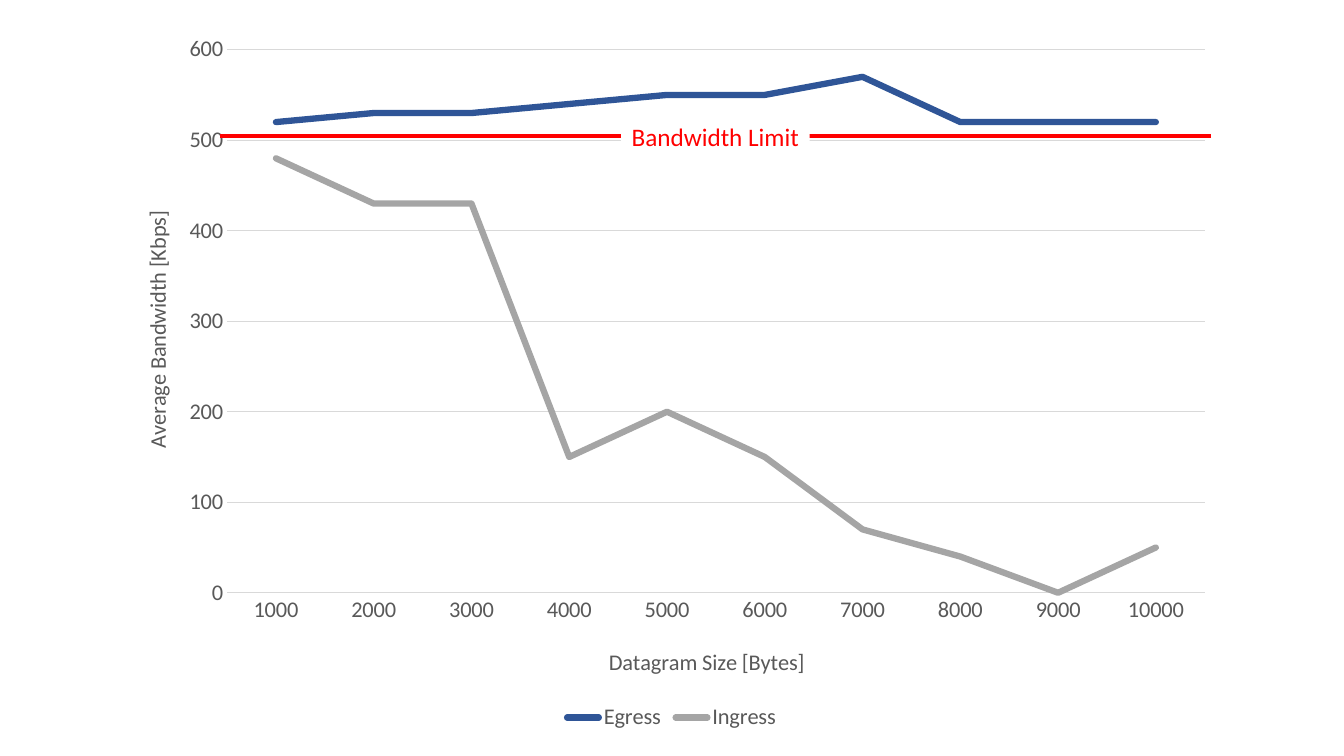
from dataclasses import dataclass

from lxml.etree import SubElement
from pptx import Presentation
from pptx.chart.data import CategoryChartData
from pptx.dml.color import RGBColor
from pptx.enum.chart import XL_CHART_TYPE as ChartType
from pptx.enum.chart import XL_LEGEND_POSITION as LegendPosition
from pptx.enum.chart import XL_MARKER_STYLE as MarkerStyle
from pptx.enum.chart import XL_TICK_MARK as TickMark
from pptx.enum.shapes import MSO_CONNECTOR as Connector
from pptx.enum.shapes import MSO_SHAPE as Shape
from pptx.enum.text import MSO_ANCHOR as Anchor
from pptx.enum.text import PP_ALIGN as Align
from pptx.oxml import parse_xml
from pptx.oxml.ns import nsdecls, qn
from pptx.util import Inches, Pt


@dataclass(frozen=True)
class Theme:
    font: str = "Calibri"
    text: str = "595959"
    grid: str = "D9D9D9"
    egress: str = "2F5597"
    ingress: str = "A5A5A5"
    limit: str = "FF0000"
    background: str = "FFFFFF"
    chart_size: float = 16
    limit_size: float = 18
    grid_width: float = 0.75
    series_width: float = 4.5
    limit_width: float = 3


THEME = Theme()
SIZES = [str(size) for size in range(1000, 10001, 1000)]
BANDWIDTH = {
    "Egress": (THEME.egress, (520, 530, 530, 540, 550, 550, 570, 520, 520, 520)),
    "Ingress": (THEME.ingress, (480, 430, 430, 150, 200, 150, 70, 40, 0, 50)),
}


def apply(target, values):
    for name, value in values.items():
        setattr(target, name, value)


def style_font(font, size, color):
    apply(font, {"name": THEME.font, "size": Pt(size), "bold": False})
    font.color.rgb = RGBColor.from_string(color)


def style_line(line, color, width):
    line.color.rgb = RGBColor.from_string(color)
    line.width = Pt(width)


def place(part, index, inner=False, **fractions):
    for previous in part.findall(qn("c:layout")):
        part.remove(previous)
    target = '<c:layoutTarget val="inner"/>' if inner else ""
    modes = "".join(f'<c:{key}Mode val="edge"/>' for key in "xy")
    values = "".join(f'<c:{key} val="{value}"/>' for key, value in fractions.items())
    part.insert(index, parse_xml(
        f'<c:layout {nsdecls("c")}><c:manualLayout>{target}{modes}{values}'
        "</c:manualLayout></c:layout>"))


def style_axis(axis, title, x, y):
    apply(axis, {"major_tick_mark": TickMark.NONE, "minor_tick_mark": TickMark.NONE})
    style_font(axis.tick_labels.font, THEME.chart_size, THEME.text)
    heading = axis.axis_title.text_frame.paragraphs[0].add_run()
    heading.text = title
    style_font(heading.font, THEME.chart_size, THEME.text)
    place(axis.axis_title.element, 1, x=x, y=y)


def add_bandwidth_chart(shapes):
    data = CategoryChartData()
    data.categories = SIZES
    for name, (_, rates) in BANDWIDTH.items():
        data.add_series(name, rates)
    chart = shapes.add_chart(ChartType.LINE, Inches(1.15), Inches(0.21),
                             Inches(11.02), Inches(7.09), data).chart
    apply(chart, {"has_title": False, "has_legend": True})
    style_font(chart.font, THEME.chart_size, THEME.text)
    apply(chart.legend, {"position": LegendPosition.BOTTOM, "include_in_layout": False})
    style_font(chart.legend.font, THEME.chart_size, THEME.text)

    plot = chart.plots[0]
    plot.vary_by_categories = False
    for series, (color, _) in zip(plot.series, BANDWIDTH.values()):
        series.smooth = False
        series.marker.style = MarkerStyle.NONE
        style_line(series.format.line, color, THEME.series_width)
    for series in chart.element.iter(qn("c:ser")):
        series.find(qn("c:spPr")).find(qn("a:ln")).set("cap", "rnd")

    sizes, rates = chart.category_axis, chart.value_axis
    style_axis(sizes, "Datagram Size [Bytes]", 0.44, 0.87)
    style_line(sizes.format.line, THEME.grid, THEME.grid_width)
    style_axis(rates, "Average Bandwidth [Kbps]", 0.02, 0.26)
    apply(rates, {"minimum_scale": 0, "maximum_scale": 600, "major_unit": 100,
                  "has_major_gridlines": True})
    rates.format.line.fill.background()
    style_line(rates.major_gridlines.format.line, THEME.grid, THEME.grid_width)
    place(next(chart.element.iter(qn("c:plotArea"))), 0, inner=True,
          x=0.1, y=0.04, w=0.88, h=0.76)


def add_limit_line(shapes):
    height = Inches(1.35)
    limit = shapes.add_connector(Connector.STRAIGHT, Inches(2.18), height,
                                 Inches(12.01), height)
    style_line(limit.line, THEME.limit, THEME.limit_width)
    SubElement(limit.element.spPr, qn("a:effectLst"))


def add_limit_label(shapes):
    label = shapes.add_shape(Shape.RECTANGLE, Inches(6.16), Inches(1.15),
                             Inches(1.87), Inches(0.4))
    label.shadow.inherit = False
    label.fill.solid()
    label.fill.fore_color.rgb = RGBColor.from_string(THEME.background)
    label.line.fill.background()
    apply(label.text_frame, {"word_wrap": True, "vertical_anchor": Anchor.TOP})
    caption = label.text_frame.paragraphs[0]
    caption.alignment = Align.CENTER
    wording = caption.add_run()
    wording.text = "Bandwidth Limit"
    style_font(wording.font, THEME.limit_size, THEME.limit)


def main():
    deck = Presentation()
    apply(deck, {"slide_width": Inches(13.33), "slide_height": Inches(7.5)})
    slide = deck.slides.add_slide(deck.slide_layouts[6])
    figure = slide.shapes.add_group_shape().shapes
    for add_part in (add_bandwidth_chart, add_limit_line, add_limit_label):
        add_part(figure)
    deck.save("out.pptx")


main()
